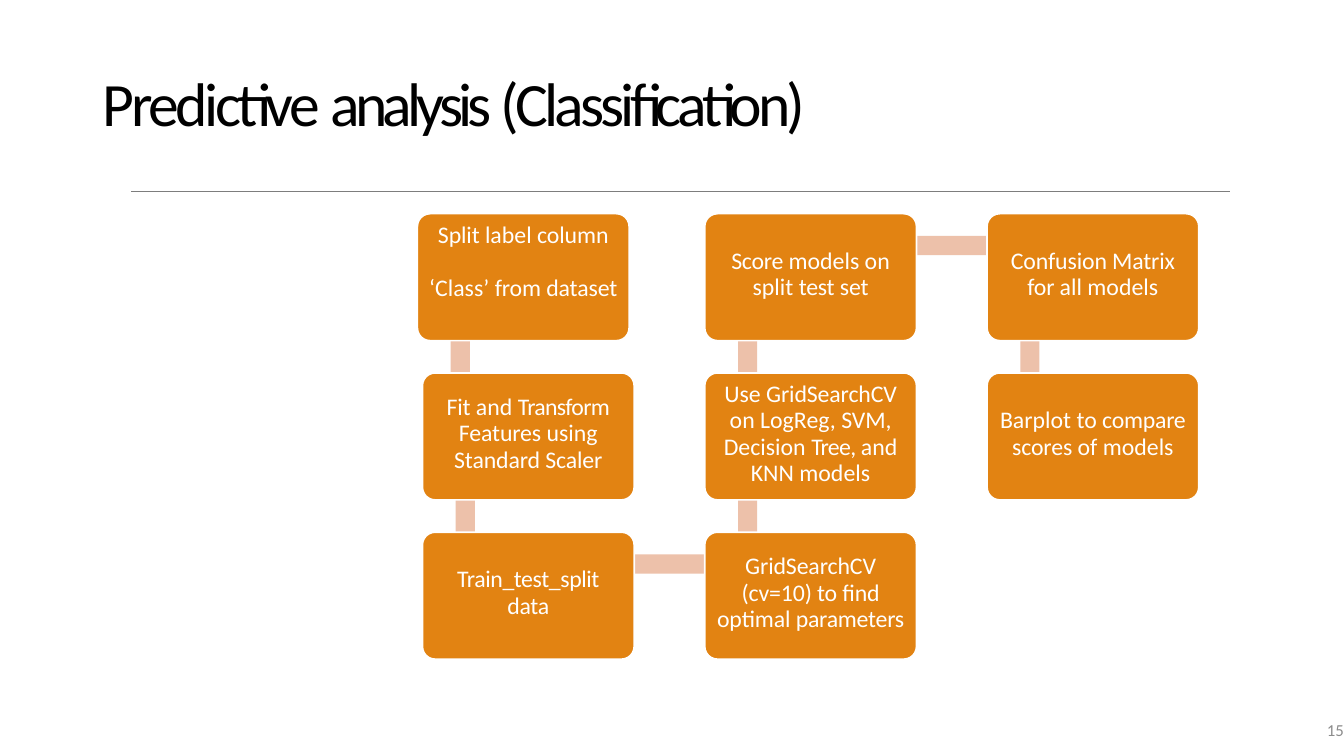
from pptx import Presentation
from pptx.dml.color import RGBColor
from pptx.enum.shapes import MSO_CONNECTOR, MSO_SHAPE
from pptx.enum.text import MSO_ANCHOR, PP_ALIGN
from pptx.util import Inches, Pt
from lxml import etree


def color(hex_string):
    return RGBColor.from_string(hex_string)


def add_runs(paragraph, runs, size, hex_string):
    """Add (text, letter spacing in points) pairs to a paragraph."""
    for text, spacing in runs:
        run = paragraph.add_run()
        run.text = text
        run.font.name = "Calibri"
        run.font.size = Pt(size)
        run.font.color.rgb = color(hex_string)
        run._r.get_or_add_rPr().set("spc", str(round(spacing * 100)))


presentation = Presentation()
presentation.slide_width = Inches(13.33)
presentation.slide_height = Inches(7.5)
slide = presentation.slides.add_slide(presentation.slide_layouts[5])

# Title
title = slide.shapes.title
title.left, title.top = Inches(1), Inches(0.6)
title.width, title.height = Inches(8.66), Inches(0.83)
frame = title.text_frame
frame.margin_left = Inches(0.02)
frame.margin_right = frame.margin_top = frame.margin_bottom = 0
frame.vertical_anchor = MSO_ANCHOR.MIDDLE
frame.paragraphs[0].alignment = PP_ALIGN.LEFT
add_runs(frame.paragraphs[0],
         [("Predictive ", -2.5), ("analysis ", -3.5), ("(Classification)", -2.8)],
         44, "000000")

# Rule under the title
rule = slide.shapes.add_connector(
    MSO_CONNECTOR.STRAIGHT, Inches(1.3), Inches(1.9), Inches(12.2), Inches(1.9))
rule.line.color.rgb = color("7D7D7D")
rule.line.width = Pt(0.48)
etree.SubElement(rule._element.spPr,
                 "{http://schemas.openxmlformats.org/drawingml/2006/main}effectLst")

# Steps: column, row, direction of the link to the next step, lines of runs
steps = [
    (0, 0, "down", [
        [("Split ", -0.1), ("label ", 0), ("column", -0.1)],
        [("‘Class’ ", 0), ("from dataset", -0.1)]]),
    (0, 1, "down", [
        [("Fit ", -0.1), ("and ", 0), ("Transform", -0.5)],
        [("Features ", -0.1), ("using", 0)],
        [("Standard Scaler", -0.1)]]),
    (0, 2, "right", [
        [("Train_test_split", -0.3)],
        [("data", -0.2)]]),
    (1, 2, "up", [
        [("GridSearchCV", -0.1)],
        [("(cv=10) to find", -0.1)],
        [("optimal ", -0.1), ("parameters", -0.2)]]),
    (1, 1, "up", [
        [("Use ", 0), ("GridSearchCV", -0.1)],
        [("on LogReg, ", 0), ("SVM,", -0.1)],
        [("Decision ", 0), ("Tree, ", -0.5), ("and", 0)],
        [("KNN models", 0)]]),
    (1, 0, "right", [
        [("Score ", -0.2), ("models on", 0)],
        [("split ", 0), ("test ", -0.2), ("set", -0.1)]]),
    (2, 0, "down", [
        [("Confusion Matrix", -0.1)],
        [("for ", -0.2), ("all models", 0)]]),
    (2, 1, None, [
        [("Barplot ", 0), ("to ", -0.1), ("compare", -0.2)],
        [("scores ", -0.1), ("of models", 0)]]),
]
# Link offset from its box, then its width and height
links = {"down": (0.33, 0.32, 0.19, 1.57),
         "up": (0.33, -1.26, 0.19, 1.57),
         "right": (0.43, 0.22, 2.79, 0.19)}

for number, (column, row, direction, lines) in enumerate(steps):
    first = number == 0
    left = 4.19 + 2.8 * column - (0.05 if first else 0)
    top = 2.12 + 1.58 * row

    # Link to the next step, behind both boxes
    if direction:
        dx, dy, width, height = links[direction]
        link = slide.shapes.add_shape(
            MSO_SHAPE.RECTANGLE, Inches(left + dx), Inches(top + dy),
            Inches(width), Inches(height))
        link.shadow.inherit = False
        link.fill.solid()
        link.fill.fore_color.rgb = color("EDC1AA")
        link.line.fill.background()

    # Step box
    box = slide.shapes.add_shape(
        MSO_SHAPE.ROUNDED_RECTANGLE, Inches(left), Inches(top),
        Inches(2.1), Inches(1.26))
    box.adjustments[0] = 0.1
    box.shadow.inherit = False
    box.fill.solid()
    box.fill.fore_color.rgb = color("E28312")
    box.line.color.rgb = color("FFFFFF")
    box.line.width = Pt(1.2)

    # Step text: the first step has its two lines set apart
    frame = box.text_frame
    frame.word_wrap = True
    frame.vertical_anchor = MSO_ANCHOR.MIDDLE
    frame.margin_left = frame.margin_right = frame.margin_top = 0
    frame.margin_bottom = Inches(0.31 if first else 0.06)
    paragraph = frame.paragraphs[0]
    for index, runs in enumerate(lines):
        if index and first:
            paragraph = frame.add_paragraph()
            paragraph.space_before = Pt(19)
        elif index:
            paragraph.add_line_break()
        paragraph.alignment = PP_ALIGN.CENTER
        paragraph.line_spacing = Pt(19)
        add_runs(paragraph, runs, 17, "FFFFFF")

# Slide number
page = slide.shapes.add_textbox(Inches(13.03), Inches(7.18), Inches(0.3), Inches(0.17))
frame = page.text_frame
frame.word_wrap = True
frame.margin_left = frame.margin_right = frame.margin_top = frame.margin_bottom = 0
frame.vertical_anchor = MSO_ANCHOR.MIDDLE
frame.paragraphs[0].alignment = PP_ALIGN.RIGHT
frame.paragraphs[0].line_spacing = Pt(11)
add_runs(frame.paragraphs[0], [("15", 0)], 12, "8C8C8C")

presentation.save("out.pptx")
